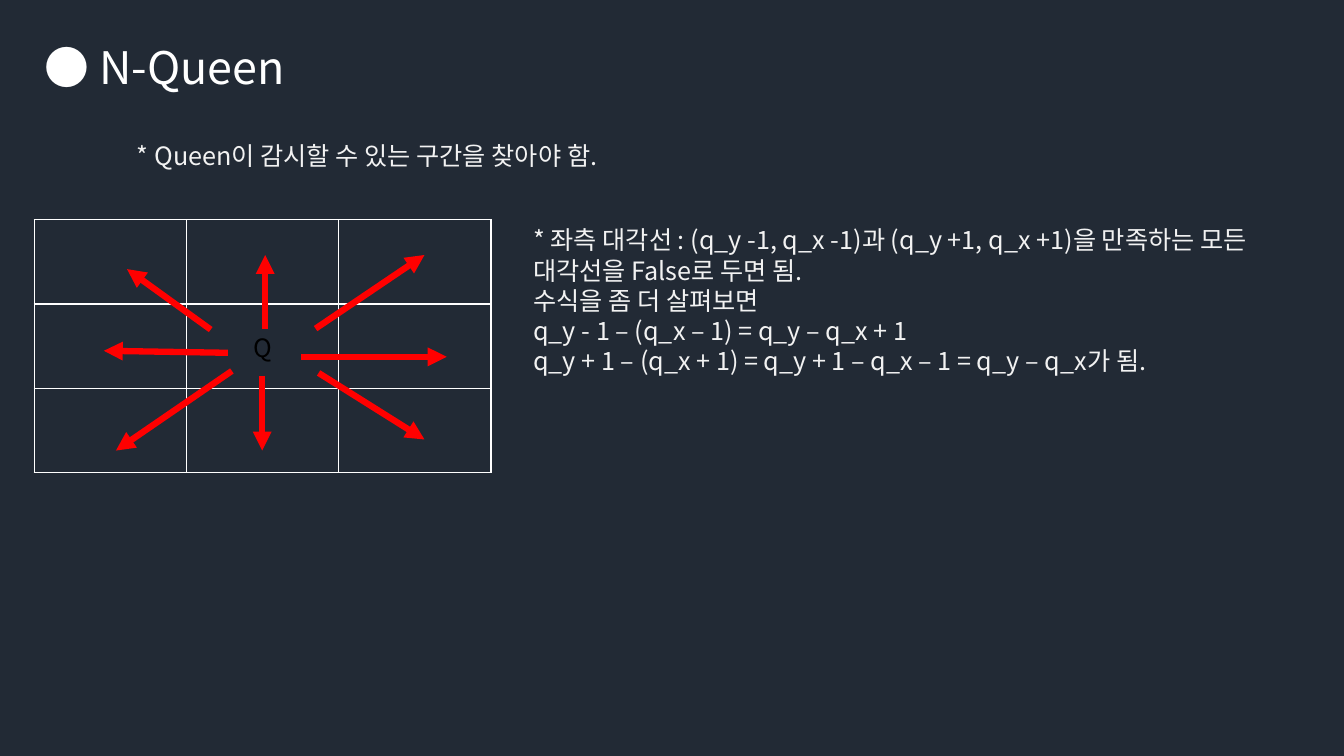
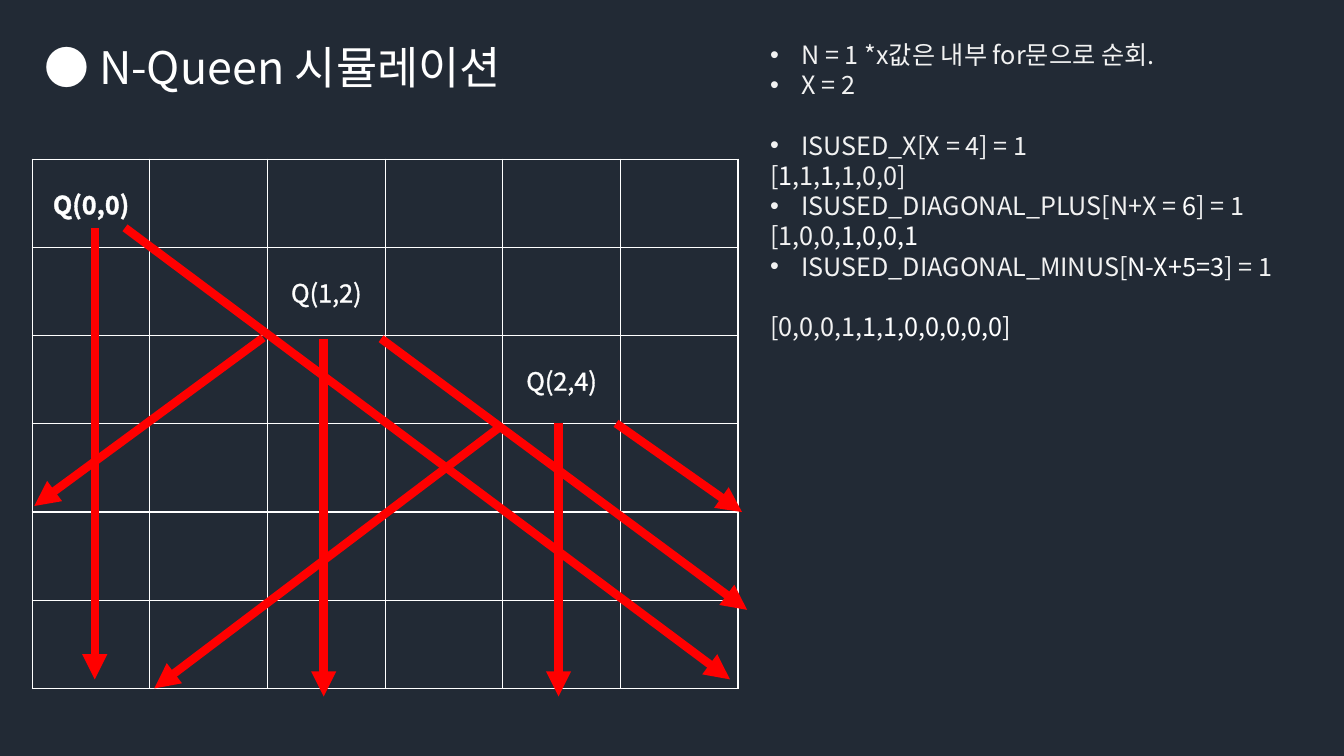
from dataclasses import dataclass

from pptx import Presentation
from pptx import util as u
from pptx.dml.color import RGBColor
from pptx.enum import shapes, text
from pptx.oxml import parse_xml
from pptx.oxml.ns import nsdecls, qn


@dataclass(frozen=True)
class Theme:
    font: str = "Noto Sans CJK KR"
    background: str = "222A35"
    white: str = "FFFFFF"
    body: str = "F2F2F2"
    black: str = "000000"
    queen_outline: str = "D0CECE"
    arrow: str = "FF0000"
    title_size: int = 32
    body_size: int = 18
    grid_width: float = 1
    outline_width: float = 0.75


THEME = Theme()


def rgb(value):
    return RGBColor.from_string(value)


def line_xml(tag, color, points):
    """A solid line element, used for cell borders and letter outlines."""
    return parse_xml(
        f'<a:{tag} {nsdecls("a")} w="{u.Pt(points)}"><a:solidFill>'
        f'<a:srgbClr val="{color}"/></a:solidFill></a:{tag}>')


class SlideBuilder:
    def __init__(self, deck):
        self.deck = deck
        self.slide = None

    def start(self, title, width):
        self.slide = self.deck.slides.add_slide(self.deck.slide_layouts[6])
        fill = self.slide.background.fill
        fill.solid()
        fill.fore_color.rgb = rgb(THEME.background)
        box = self.box(0.34, 0.34, width, 0.64)
        box.text_frame.text = title
        self.style(box.text_frame.paragraphs[0].runs[0], THEME.white, THEME.title_size)

    def style(self, span, color, size=THEME.body_size, bold=False):
        font = span.font
        font.name, font.size, font.bold = THEME.font, u.Pt(size), bold
        font.color.rgb = rgb(color)
        latin = font._element.find(qn("a:latin"))
        latin.addnext(parse_xml(f'<a:ea {nsdecls("a")} typeface="{THEME.font}"/>'))

    def box(self, left, top, width, height):
        box = self.slide.shapes.add_textbox(*map(u.Inches, (left, top, width, height)))
        box.text_frame.word_wrap = True
        box.text_frame.auto_size = text.MSO_AUTO_SIZE.SHAPE_TO_FIT_TEXT
        return box

    def body(self, left, top, width, height, lines):
        """Lines are strings or (string, bulleted, gap); | toggles white."""
        frame = self.box(left, top, width, height).text_frame
        for index, line in enumerate(lines):
            words, bulleted, gap = (line, False, 0) if isinstance(line, str) else line
            para = frame.add_paragraph() if index else frame.paragraphs[0]
            if bulleted:
                self.bullet(para)
            if gap:
                para.space_before = u.Pt(gap)
            for part, piece in enumerate(words.split("|")):
                if piece:
                    span = para.add_run()
                    span.text = piece
                    self.style(span, THEME.white if part % 2 else THEME.body)

    def bullet(self, para):
        props = para._p.get_or_add_pPr()
        props.set("marL", str(u.Inches(0.31)))
        props.set("indent", str(-u.Inches(0.31)))
        props.append(parse_xml(f'<a:buFont {nsdecls("a")} typeface="Arial"/>'))
        props.append(parse_xml(f'<a:buChar {nsdecls("a")} char="•"/>'))

    def board(self, left, top, width, height, count, queens):
        """A square board; queens maps (row, column) to label styling."""
        frame = self.slide.shapes.add_table(
            count, count, *map(u.Inches, (left, top, width, height)))
        table = frame.table
        table.first_row = table.horz_banding = False
        for row in range(count):
            for column in range(count):
                cell = table.cell(row, column)
                cell.fill.background()
                props = cell._tc.get_or_add_tcPr()
                for place, tag in enumerate(("lnL", "lnR", "lnT", "lnB")):
                    props.insert(place, line_xml(tag, THEME.white, THEME.grid_width))
                if (row, column) in queens:
                    self.queen(cell, *queens[row, column])

    def queen(self, cell, label, color, outline, bold):
        cell.vertical_anchor = text.MSO_ANCHOR.MIDDLE
        cell.text_frame.text = label
        para = cell.text_frame.paragraphs[0]
        para.alignment = text.PP_ALIGN.CENTER
        span = para.runs[0]
        self.style(span, color, bold=bold)
        span.font._element.insert(0, line_xml("ln", outline, THEME.outline_width))

    def arrows(self, points, width):
        for ends in points:
            arrow = self.slide.shapes.add_connector(
                shapes.MSO_CONNECTOR.STRAIGHT, *map(u.Inches, ends))
            arrow.line.color.rgb = rgb(THEME.arrow)
            arrow.line.width = u.Pt(width)
            arrow.line._get_or_add_ln().append(
                parse_xml(f'<a:tailEnd {nsdecls("a")} type="triangle"/>'))
            arrow._element.spPr.append(parse_xml(f'<a:effectLst {nsdecls("a")}/>'))


def watched_area(page):
    page.start("● N-Queen", 4.08)
    page.body(1.26, 1.34, 11.42, 0.4, ["* Queen이 감시할 수 있는 구간을 찾아야 함."])
    page.board(0.34, 2.18, 4.53, 2.51, 3,
               {(1, 1): ("Q", THEME.black, THEME.queen_outline, False)})
    # Eight directions the queen watches
    page.arrows([
        (3.13, 3.26, 4.21, 2.53), (2.63, 3.26, 2.63, 2.53),
        (2.09, 3.27, 1.26, 2.67), (2.26, 3.5, 1.03, 3.48),
        (2.3, 3.68, 1.15, 4.47), (2.6, 3.73, 2.6, 4.47),
        (2.99, 3.54, 4.43, 3.54), (3.16, 3.7, 4.21, 4.36),
    ], 4.5)
    # Diagonal rule
    page.body(5.19, 2.18, 7.91, 2.22, [
        "* 좌측 대각선 : (q_y -1, q_x -1)과 (q_y +1, q_x +1)을 만족하는 모든 "
        "대각선을 False로 두면 됨.",
        "수식을 좀 더 살펴보면",
        "q_y - 1 – (q_x – 1) = q_y – q_x + 1",
        "q_y + 1 – (q_x + 1) = q_y + 1 – q_x – 1 = q_y – q_x가 됨.",
    ])


def simulation(page):
    page.start("● N-Queen 시뮬레이션", 6.66)
    page.board(0.32, 1.58, 7, 5.25, 6, {
        (row, 2 * row): (f"Q({row},{2 * row})", THEME.white, THEME.body, row == 0)
        for row in range(3)})
    # State of the check arrays
    blank_line = 21.6
    page.body(7.54, 0.34, 5.32, 3.13, [
        ("N = 1 *x값은 내부 for문으로 순회.", True, 0),
        ("X = 2", True, 0),
        ("ISUSED_X[X = 4] = 1", True, blank_line),
        "[|1|,1,|1|,1,0,0]",
        ("ISUSED_DIAGONAL_PLUS[N+X = |6|] = 1", True, 0),
        "[1,0,0,|1,0,0,1",
        ("ISUSED_DIAGONAL_MINUS[|N-X+5=3|] = 1", True, 0),
        ("[0,0,0,1,|1|,|1,0,0,0,0,0]", False, blank_line),
    ])
    # Columns and diagonals taken by each queen
    page.arrows([
        (0.94, 2.26, 0.94, 6.74), (1.24, 2.26, 7.24, 6.74),
        (3.78, 3.36, 7.41, 6.05), (3.21, 3.36, 3.21, 6.91),
        (2.61, 3.35, 0.34, 5.02), (6.11, 4.2, 7.36, 5.08),
        (4.98, 4.22, 1.53, 6.83), (5.54, 4.2, 5.54, 6.91),
    ], 6)


def main():
    deck = Presentation()
    deck.slide_width, deck.slide_height = u.Inches(13.33), u.Inches(7.5)
    page = SlideBuilder(deck)
    watched_area(page)
    simulation(page)
    deck.save("out.pptx")


if __name__ == "__main__":
    main()
